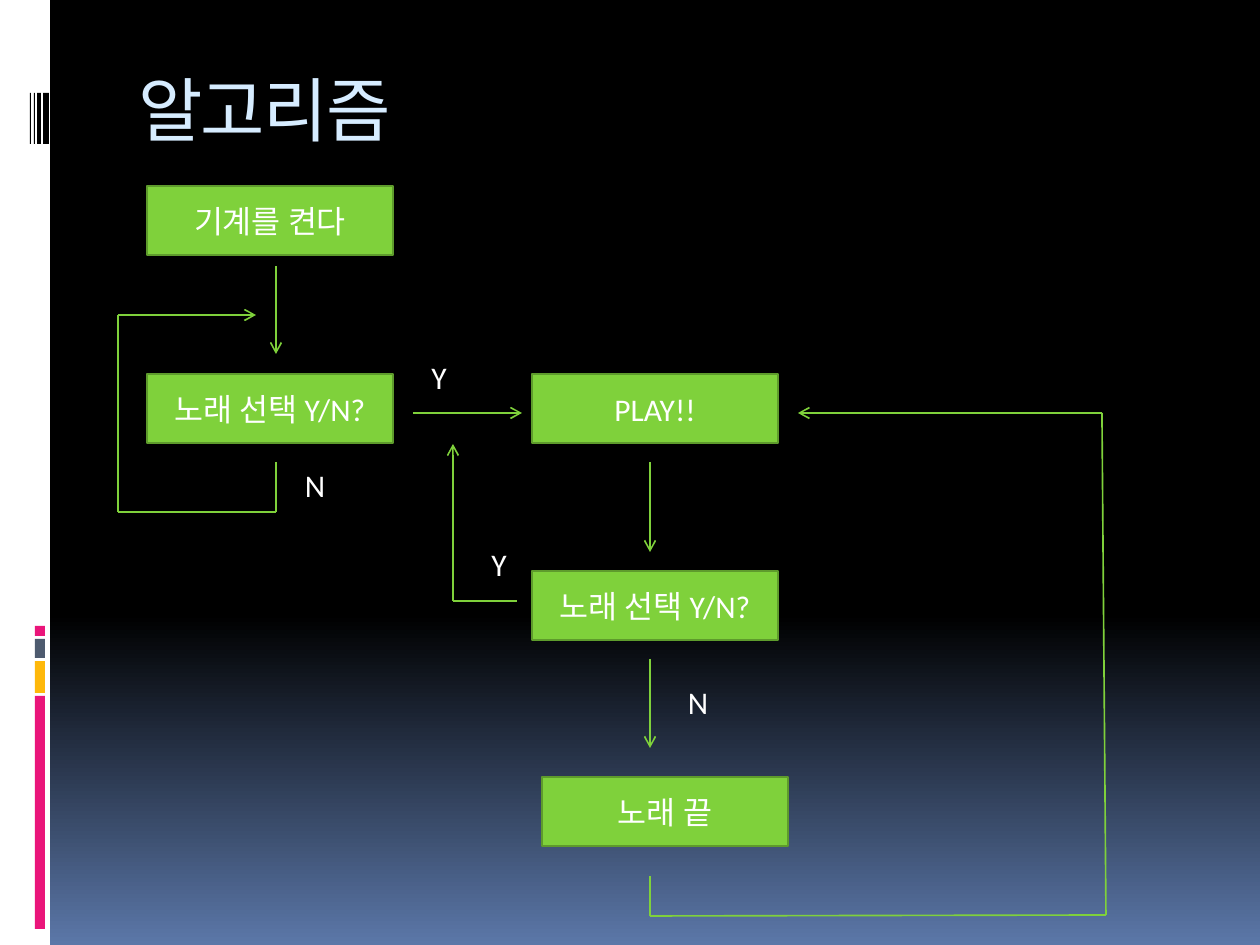
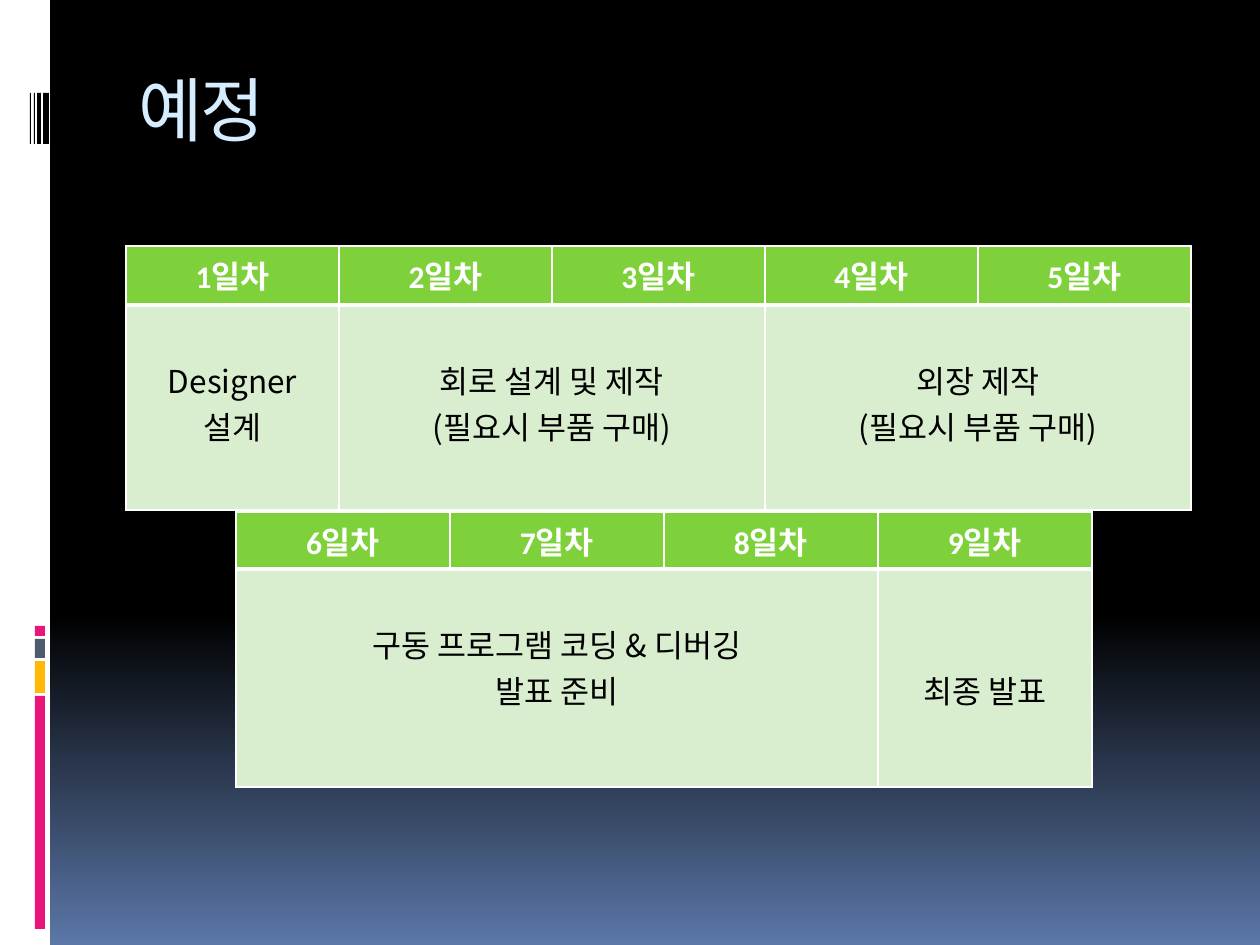
from copy import deepcopy
from dataclasses import dataclass
from itertools import pairwise

from lxml.etree import SubElement
from pptx import Presentation
from pptx.dml.color import RGBColor as Rgb
from pptx.enum.shapes import MSO_CONNECTOR as Connector, MSO_SHAPE as Shape
from pptx.enum.text import MSO_ANCHOR as Anchor, PP_ALIGN as Align
from pptx.oxml.ns import qn
from pptx.util import Emu, Pt

PX_PER_INCH = 126


def px(length):
    return Emu(round(length * 914400 / PX_PER_INCH))


def assign(target, values):
    for name, value in values.items():
        setattr(target, name, value)


@dataclass(frozen=True)
class Theme:
    black: str = "000000"
    white: str = "FFFFFF"
    sky: str = "5B77A8"
    pink: str = "EA157A"
    amber: str = "FEB80A"
    slate: str = "4E5B6F"
    ice: str = "D6ECFF"
    green: str = "7FD13B"
    dark_green: str = "5E9B2C"
    pale_green: str = "D8EECE"
    title_font: str = "Noto Sans Mono"
    korean_font: str = "Noto Sans CJK KR"
    text_font: str = "Calibri"
    title_size: float = 40
    text_size: float = 18
    arrow_width: float = 0.94
    box_line: float = 1.5
    cell_line: float = 1
    header_line: float = 3


class Painter:
    def __init__(self, deck, theme):
        self.deck = deck
        self.theme = theme
        self.page = None

    # Page with background, side decoration and title
    def new_page(self, title):
        theme = self.theme
        self.page = self.deck.slides.add_slide(self.deck.slide_layouts[6])
        fill = self.page.background.fill
        fill.gradient()
        fill.gradient_angle = 270
        first = self.page.element.xpath(".//a:gs")[0]
        first.addnext(deepcopy(first))
        colours = ((0, theme.black), (0.65, theme.black), (1, theme.sky))
        for stop, (position, colour) in zip(fill.gradient_stops, colours):
            stop.position = position
            stop.color.rgb = Rgb.from_string(colour)

        self.box(0, 0, 50, 945, theme.white)
        for top, height, colour in ((696, 233, theme.pink), (661, 32, theme.amber),
                                    (639, 19, theme.slate), (626, 10, theme.pink)):
            self.box(35, top, 10, height, colour)
        for left, width in ((43, 6), (37, 4), (34, 1), (30, 1)):
            self.box(left, 93, width, 51, theme.black)
        self.title(title)

    def title(self, text):
        theme = self.theme
        frame = self.page.shapes.add_textbox(px(126), px(70), px(1071), px(126)).text_frame
        frame.word_wrap = True
        self.add_lines(frame, [text], theme.ice, font=theme.title_font,
                       size=theme.title_size, align=Align.LEFT, spacing=-100)
        frame.paragraphs[0].line_spacing = 0.9

    # Text, one paragraph per line
    def add_lines(self, frame, lines, colour, font=None, size=None, bold=False,
                  align=Align.CENTER, spacing=None):
        for index, line in enumerate(lines):
            para = frame.add_paragraph() if index else frame.paragraphs[0]
            para.alignment = align
            span = para.add_run()
            span.text = line
            assign(span.font, {"name": font or self.theme.text_font,
                               "size": Pt(size or self.theme.text_size), "bold": bold})
            span.font.color.rgb = Rgb.from_string(colour)
            props = span.font._element
            SubElement(props, qn("a:ea")).set("typeface", self.theme.korean_font)
            if spacing:
                props.set("spc", str(spacing))

    def box(self, left, top, width, height, fill, line=None):
        box = self.page.shapes.add_shape(Shape.RECTANGLE, px(left), px(top),
                                         px(width), px(height))
        box.shadow.inherit = False
        box.fill.solid()
        box.fill.fore_color.rgb = Rgb.from_string(fill)
        if line:
            box.line.color.rgb = Rgb.from_string(line)
            box.line.width = Pt(self.theme.box_line)
        else:
            box.line.fill.background()
        return box

    def step(self, left, top, text):
        theme = self.theme
        frame = self.box(left, top, 246, 69, theme.green, theme.dark_green).text_frame
        assign(frame, {"word_wrap": True, "vertical_anchor": Anchor.MIDDLE})
        self.add_lines(frame, [text], theme.white)

    def answer(self, left, top, text):
        frame = self.page.shapes.add_textbox(px(left), px(top), px(50), px(46)).text_frame
        assign(frame, {"word_wrap": True, "vertical_anchor": Anchor.MIDDLE,
                       "margin_left": 0, "margin_right": 0})
        self.add_lines(frame, [text], self.theme.white)

    # Straight segments through the points, with an arrowhead at the end
    def route(self, *points):
        for start, end in pairwise(points):
            segment = self.page.shapes.add_connector(
                Connector.STRAIGHT, *(px(value) for value in start + end))
            segment.line.color.rgb = Rgb.from_string(self.theme.green)
            segment.line.width = Pt(self.theme.arrow_width)
            SubElement(segment._element.spPr, qn("a:effectLst"))
        outline = segment._element.spPr.find(qn("a:ln"))
        SubElement(outline, qn("a:tailEnd")).set("type", "arrow")

    def cell(self, cell, fill, top_line, bottom_line):
        props = cell._tc.get_or_add_tcPr()
        thin = self.theme.cell_line
        for side, width in (("L", thin), ("R", thin), ("T", top_line), ("B", bottom_line)):
            edge = SubElement(props, qn(f"a:ln{side}"), w=str(Pt(width)))
            paint = SubElement(edge, qn("a:solidFill"))
            SubElement(paint, qn("a:srgbClr")).set("val", self.theme.white)
        cell.fill.solid()
        cell.fill.fore_color.rgb = Rgb.from_string(fill)

    # Day headings over tasks; a task is (first column, columns, top margin, lines)
    def schedule(self, left, top, column_width, row_heights, days, tasks):
        theme = self.theme
        table = self.page.shapes.add_table(
            2, len(days), px(left), px(top), px(column_width * len(days)),
            px(sum(row_heights))).table
        table.horz_banding = False
        for row, height in zip(table.rows, row_heights):
            row.height = px(height)
        for index, day in enumerate(days):
            table.columns[index].width = px(column_width)
            header, body = table.cell(0, index), table.cell(1, index)
            self.cell(header, theme.green, theme.cell_line, theme.header_line)
            self.cell(body, theme.pale_green, theme.header_line, theme.cell_line)
            self.add_lines(header.text_frame, [f"{day}일차"], theme.white, bold=True)
        for first, columns, margin, lines in tasks:
            body = table.cell(1, first)
            if columns > 1:
                body.merge(table.cell(1, first + columns - 1))
            body.margin_top = px(margin)
            self.add_lines(body.text_frame, lines, theme.black, font=theme.korean_font)


def draw_algorithm(painter):
    painter.new_page("알고리즘")
    for left, top, text in ((147, 186, "기계를 켠다"), (147, 374, "노래 선택 Y/N?"),
                            (532, 374, "PLAY!!"), (532, 571, "노래 선택 Y/N?"),
                            (542, 777, "노래 끝")):
        painter.step(left, top, text)

    # Forward steps
    painter.route((276, 266), (276, 354))
    painter.route((650, 462), (650, 552))
    painter.route((650, 659), (650, 748))
    painter.route((413, 413), (522, 413))
    # Loops back
    painter.route((276, 462), (276, 512), (118, 512), (118, 315), (256, 315))
    painter.route((517, 601), (453, 601), (453, 444))
    painter.route((650, 876), (650, 916), (1106, 915), (1102, 413), (798, 413))

    for left, top, text in ((414, 354, "Y"), (290, 462, "N"),
                            (474, 541, "Y"), (673, 679, "N")):
        painter.answer(left, top, text)


def draw_schedule(painter):
    painter.new_page("예정")
    one_down, two_down = 52, 98
    parts = "(필요시 부품 구매)"
    painter.schedule(126, 246, 213, (59, 205), range(1, 6), (
        (0, 1, one_down, ["Designer", "설계"]),
        (1, 2, one_down, ["회로 설계 및 제작", parts]),
        (3, 2, one_down, ["외장 제작", parts])))
    painter.schedule(236, 512, 214, (57, 218), range(6, 10), (
        (0, 3, one_down, ["구동 프로그램 코딩 & 디버깅", "발표 준비"]),
        (3, 1, two_down, ["최종 발표"])))


def main():
    deck = Presentation()
    assign(deck, {"slide_width": px(1260), "slide_height": px(945)})
    painter = Painter(deck, Theme())
    draw_algorithm(painter)
    draw_schedule(painter)
    deck.save("out.pptx")


if __name__ == "__main__":
    main()
